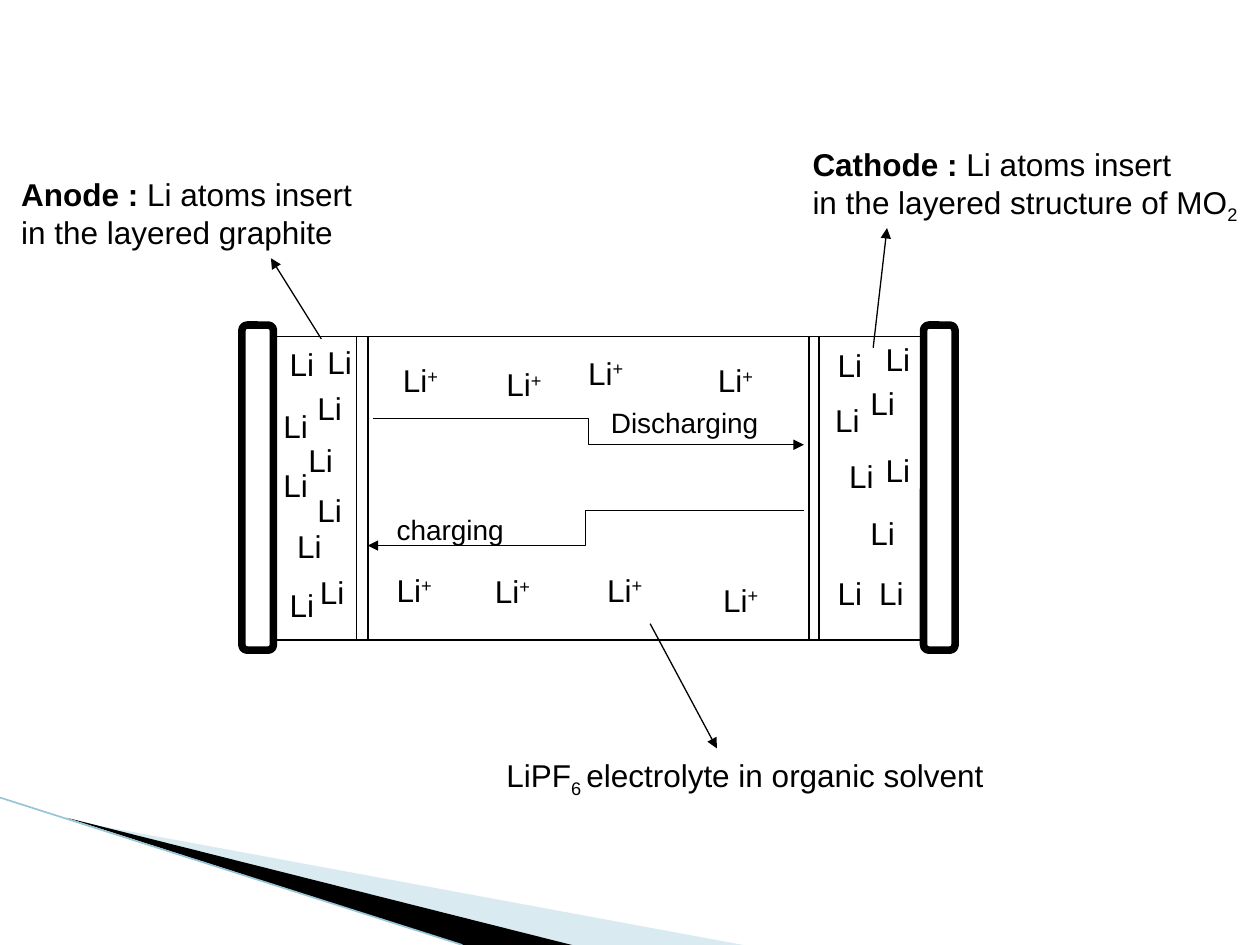
from dataclasses import dataclass

from lxml import etree
from pptx import Presentation
from pptx.dml.color import RGBColor
from pptx.enum.shapes import MSO_CONNECTOR, MSO_SHAPE
from pptx.enum.text import MSO_AUTO_SIZE
from pptx.oxml.ns import qn
from pptx.util import Inches, Pt

STRAIGHT = MSO_CONNECTOR.STRAIGHT
ELBOW = MSO_CONNECTOR.ELBOW
ROUNDED = MSO_SHAPE.ROUNDED_RECTANGLE
FIT_TEXT = MSO_AUTO_SIZE.SHAPE_TO_FIT_TEXT


@dataclass(frozen=True)
class Theme:
    """Colours, font, type sizes in points and line widths in points."""
    ink: str = "000000"
    paper: str = "FFFFFF"
    pale: str = "A0CBDC"
    edge: str = "97C5D8"
    font: str = "Arial"
    body: int = 18
    label: int = 16
    thin: float = 0.75
    edge_width: float = 0.95
    thick: float = 4.33


@dataclass(frozen=True)
class Box:
    """A region of the page, in inches."""
    left: float
    top: float
    width: float
    height: float

    def at(self, x, y):
        """Return the page position of a point in the region."""
        return Inches(self.left + x), Inches(self.top + y)

    def inner(self, x, y, width, height):
        """Return a smaller region placed relative to this one."""
        return Box(self.left + x, self.top + y, width, height)


THEME = Theme()
ATOM = [[("Li", {})]]
ION = [[("Li", {}), ("+", {"baseline": 30})]]
ANODE_ATOMS = [
    (0.25, 0.37), (0.03, 0.02), (-0.02, 0.51), (0.18, 0.78), (0.25, 1.18),
    (0.09, 1.46), (0.27, 1.83), (-0.02, 0.98), (0.03, 1.93), (0.33, 0),
]
CATHODE_ATOMS = [
    (0.43, 0.86), (0.31, 0.33), (0.05, 1.84), (0.14, 0.91), (0.43, -0.02),
    (0.38, 1.84), (0.31, 1.36), (0.03, 0.46), (0.05, 0.03),
]
IONS = [
    (0.18, 0.15), (2.68, 0.15), (1.65, 0.09), (1, 0.18),
    (0.91, 1.82), (0.13, 1.81), (2.72, 1.89), (1.8, 1.81),
]


def add_text(page, box, lines, size=THEME.body, color=THEME.ink):
    """Add a text box of lines, each a list of (text, format) spans."""
    shape = page.shapes.add_textbox(*box.at(0, 0), Inches(box.width), Inches(box.height))
    frame = shape.text_frame
    frame.word_wrap = False
    frame.auto_size = FIT_TEXT
    for index, line in enumerate(lines):
        para = frame.add_paragraph() if index else frame.paragraphs[0]
        for text, style in line:
            span = para.add_run()
            span.text = text
            span.font.name = THEME.font
            span.font.size = Pt(size)
            span.font.bold = style.get("bold", False)
            span.font.color.rgb = RGBColor.from_string(color)
            if "baseline" in style:
                span.font._element.set("baseline", str(style["baseline"] * 1000))


def add_line(page, box, start, end, kind=STRAIGHT, color=THEME.ink, width=THEME.thin, arrow=False):
    """Add a connector between two points of a region."""
    line = page.shapes.add_connector(kind, *box.at(*start), *box.at(*end))
    line.line.color.rgb = RGBColor.from_string(color)
    line.line.width = Pt(width)
    if arrow:
        etree.SubElement(line.line._get_or_add_ln(), qn("a:tailEnd"), type="triangle")
    etree.SubElement(line._element.spPr, qn("a:effectLst"))


def add_wedge(page, box, points, color, opacity=100):
    """Add a filled outline through points of a region."""
    start, *rest = [box.at(*point) for point in points]
    builder = page.shapes.build_freeform(*start)
    builder.add_line_segments(rest)
    shape = builder.convert_to_shape()
    shape.shadow.inherit = False
    shape.line.fill.background()
    shape.fill.solid()
    shape.fill.fore_color.rgb = RGBColor.from_string(color)
    if opacity < 100:
        tint = shape._element.spPr.find(".//" + qn("a:srgbClr"))
        etree.SubElement(tint, qn("a:alpha"), val=str(opacity * 1000))


def draw_corner(page, box):
    """Draw the sweeping wedges in the bottom corner."""
    bottom = box.height
    add_wedge(page, box, [(0.55, 0.18), (5.9, bottom), (4.54, bottom)], THEME.pale, 40)
    add_wedge(page, box, [(0.53, 0.16), (4.54, bottom), (3.67, bottom)], THEME.ink)
    add_line(page, box, (0, 0), (3.67, bottom), color=THEME.edge, width=THEME.edge_width)


def draw_cell(page, box):
    """Draw the end plates, walls and separators of the battery."""
    plate = 0.25
    for x in (0, box.width - plate):
        shape = page.shapes.add_shape(ROUNDED, *box.at(x, 0), Inches(plate), Inches(box.height))
        shape.shadow.inherit = False
        shape.fill.solid()
        shape.fill.fore_color.rgb = RGBColor.from_string(THEME.paper)
        shape.line.color.rgb = RGBColor.from_string(THEME.ink)
        shape.line.width = Pt(THEME.thick)
    top, bottom = 0.09, 2.5
    for y in (top, bottom):
        add_line(page, box, (plate, y), (box.width - plate, y))
    for x in (0.91, 1, 4.5, 4.58):
        add_line(page, box, (x, top), (x, bottom))


def draw_particles(page, box, lines, spots, width):
    """Scatter one particle label over the spots of a region."""
    for x, y in spots:
        add_text(page, box.inner(x, y, width, 0.4), lines)


def draw_electrolyte(page, box):
    """Draw the ions and the two directions of flow."""
    draw_particles(page, box, ION, IONS, 0.5)
    flows = [
        ("Discharging", (0.04, 0.65), (3.46, 0.86), (1.83, 0.5, 1.38, 0.37)),
        ("charging", (3.46, 1.38), (0, 1.66), (0.13, 1.35, 1.06, 0.37)),
    ]
    for name, start, end, place in flows:
        add_line(page, box, start, end, kind=ELBOW, arrow=True)
        add_text(page, box.inner(*place), [[(name, {})]], size=THEME.label)


def draw_caption(page, box, lines, start, end):
    """Draw a caption and the arrow that leads to it."""
    add_text(page, box, lines)
    add_line(page, box, start, end, arrow=True)


def main():
    """Build the battery slide and save it."""
    deck = Presentation()
    deck.slide_width, deck.slide_height = Inches(10), Inches(7.5)
    page = deck.slides.add_slide(deck.slide_layouts[6])
    cell = Box(1.92, 2.58, 5.66, 2.58)
    subscript = {"baseline": -25}
    bold = {"bold": True}

    draw_corner(page, Box(0, 6.33, 5.9, 1.17))
    draw_cell(page, cell)
    draw_particles(page, cell.inner(0.25, 0.09, 0.66, 2.41), ATOM, ANODE_ATOMS, 0.4)
    draw_particles(page, cell.inner(4.58, 0.09, 0.83, 2.41), ATOM, CATHODE_ATOMS, 0.4)
    draw_electrolyte(page, cell.inner(1, 0.09, 3.5, 2.41))
    draw_caption(page, Box(6.35, 1.1, 3.58, 0.71), [
        [("Cathode :", bold), (" Li atoms insert", {})],
        [("in the layered structure of MO", {}), ("2", subscript)],
    ], (0.58, 1.66), (0.69, 0.71))
    draw_caption(page, Box(0.07, 1.34, 2.83, 0.71), [
        [("Anode :", bold), (" Li atoms insert", {})],
        [("in the layered graphite", {})],
    ], (2.48, 1.35), (2.08, 0.71))
    draw_caption(page, Box(3.92, 5.95, 4.1, 0.4), [
        [("LiPF", {}), ("6 ", subscript), ("electrolyte in organic solvent", {})],
    ], (1.24, -1), (1.77, -0.01))
    deck.save("out.pptx")


if __name__ == "__main__":
    main()
